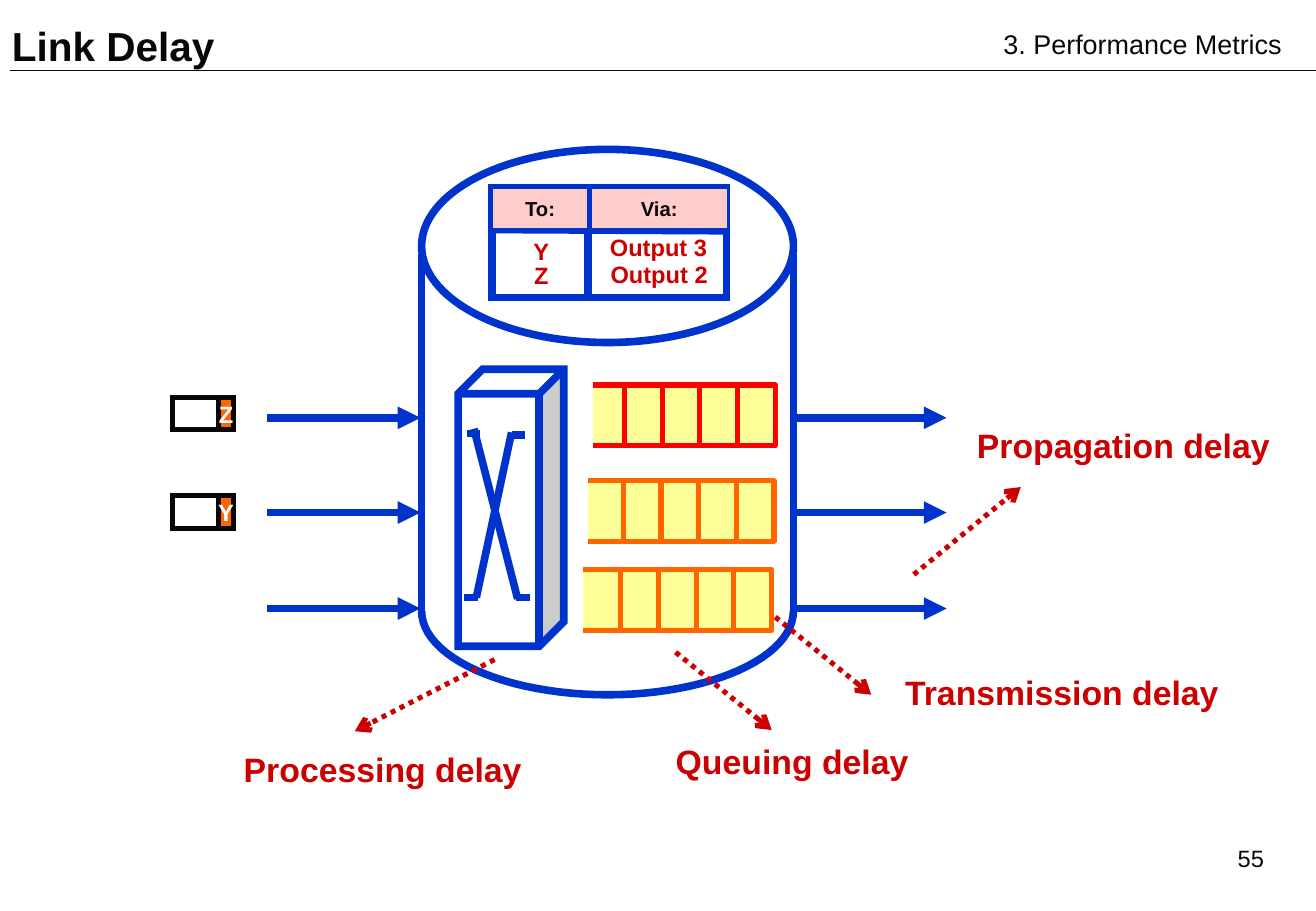
"""Build the Link Delay slide: a router with its queues and four kinds of delay."""
import math
from dataclasses import dataclass
from typing import Optional

from lxml import etree
from pptx import Presentation
from pptx.dml.color import RGBColor
from pptx.enum.dml import MSO_LINE
from pptx.enum.shapes import MSO_CONNECTOR, MSO_SHAPE
from pptx.enum.text import MSO_ANCHOR, PP_ALIGN
from pptx.oxml.ns import qn
from pptx.util import Inches, Pt

STRAIGHT = MSO_CONNECTOR.STRAIGHT
DOTTED = MSO_LINE.ROUND_DOT
RECTANGLE, ELLIPSE, CUBE = MSO_SHAPE.RECTANGLE, MSO_SHAPE.OVAL, MSO_SHAPE.CUBE
LEFT, CENTER, RIGHT = PP_ALIGN.LEFT, PP_ALIGN.CENTER, PP_ALIGN.RIGHT
TOP, MIDDLE = MSO_ANCHOR.TOP, MSO_ANCHOR.MIDDLE

COLORS = {
    "ink": "080808", "blue": "0033CC", "white": "FFFFFF", "pink": "FFCCCC",
    "yellow": "FFFF99", "red": "FF0000", "orange": "FF6600", "crimson": "CC0000",
}
FONT = "Arial"
CELL_STEP = 0.31
QUEUE_HEIGHT = 0.5


@dataclass
class Label:
    text: str
    left: float
    top: float
    width: float
    height: float
    size: float = 14
    color: str = "crimson"
    bold: bool = True
    align: PP_ALIGN = CENTER
    anchor: MSO_ANCHOR = TOP
    wrap: bool = True
    spacing: Optional[float] = None


@dataclass
class Box:
    kind: MSO_SHAPE
    left: float
    top: float
    width: float
    height: float
    fill: Optional[str] = "white"
    line: str = "blue"
    weight: float = 4.5


@dataclass
class Line:
    x1: float
    y1: float
    x2: float
    y2: float
    color: str = "blue"
    weight: float = 4.5
    arrow: Optional[str] = None
    dotted: bool = False


@dataclass
class Queue:
    left: float
    right: float
    top: float
    color: str


def rgb(name: str) -> RGBColor:
    return RGBColor.from_string(COLORS[name])


def write(shape, label: Label) -> None:
    frame = shape.text_frame
    frame.word_wrap = label.wrap
    frame.vertical_anchor = label.anchor
    paragraph = frame.paragraphs[0]
    paragraph.alignment = label.align
    if label.spacing:
        paragraph.line_spacing = label.spacing
    run = paragraph.add_run()
    run.text = label.text
    run.font.name = FONT
    run.font.size = Pt(label.size)
    run.font.bold = label.bold
    run.font.color.rgb = rgb(label.color)


def add_label(slide, label: Label) -> None:
    area = (Inches(v) for v in (label.left, label.top, label.width, label.height))
    write(slide.shapes.add_textbox(*area), label)


def style(shape, fill: Optional[str], line: str, weight: float) -> None:
    shape.shadow.inherit = False
    if fill:
        shape.fill.solid()
        shape.fill.fore_color.rgb = rgb(fill)
    else:
        shape.fill.background()
    shape.line.color.rgb = rgb(line)
    shape.line.width = Pt(weight)


def add_box(slide, box: Box):
    area = (Inches(v) for v in (box.left, box.top, box.width, box.height))
    shape = slide.shapes.add_shape(box.kind, *area)
    style(shape, box.fill, box.line, box.weight)
    outline = shape._element.spPr.find(qn("a:ln"))
    etree.SubElement(outline, qn("a:miter"), lim="800000")
    return shape


def add_line(slide, line: Line) -> None:
    ends = (Inches(v) for v in (line.x1, line.y1, line.x2, line.y2))
    connector = slide.shapes.add_connector(STRAIGHT, *ends)
    connector.line.color.rgb = rgb(line.color)
    connector.line.width = Pt(line.weight)
    if line.dotted:
        connector.line.dash_style = DOTTED
    properties = connector._element.spPr
    if line.arrow:
        outline = properties.find(qn("a:ln"))
        etree.SubElement(outline, qn("a:tailEnd"), type=line.arrow)
    etree.SubElement(properties, qn("a:effectLst"))


def add_outline(slide, points: list[tuple[float, float]], fill: Optional[str],
                line: str, weight: float) -> None:
    corners = [(Inches(x), Inches(y)) for x, y in points]
    builder = slide.shapes.build_freeform(*corners[0])
    builder.add_line_segments(corners[1:], close=False)
    style(builder.convert_to_shape(), fill, line, weight)


def add_cylinder(slide) -> None:
    left, width = 3.47, 3.06
    right, radius = left + width, width / 2
    add_box(slide, Box(ELLIPSE, left, 1.23, width, 1.59))
    for x in (left, right):
        add_line(slide, Line(x, 2.09, x, 5.05))
    angles = [math.pi * step / 48 for step in range(49)]
    base = [(left + radius - radius * math.cos(a), 5.03 + 0.69 * math.sin(a)) for a in angles]
    add_outline(slide, base, None, "blue", 4.5)


def add_queue(slide, queue: Queue) -> None:
    bottom = queue.top + QUEUE_HEIGHT
    points = [(queue.left, queue.top), (queue.right, queue.top),
              (queue.right, bottom), (queue.left, bottom)]
    add_outline(slide, points, "yellow", queue.color, 3)
    for cell in range(4, 0, -1):
        x = queue.right - cell * CELL_STEP
        add_line(slide, Line(x, queue.top, x, bottom, queue.color, 3))


def add_forwarding_table(slide) -> None:
    add_box(slide, Box(RECTANGLE, 4.05, 1.55, 1.93, 0.9))
    add_line(slide, Line(4.06, 1.89, 5.97, 1.9))
    add_line(slide, Line(4.84, 1.55, 4.84, 2.46))
    for text, left, width in (("To:", 4.07, 0.75), ("Via:", 4.88, 1.09)):
        header = add_box(slide, Box(RECTANGLE, left, 1.57, width, 0.3, "pink", "pink", 1.5))
        write(header, Label(text, left, 1.57, width, 0.3, 12, "ink"))
    for label in (Label("Y", 4.24, 1.9, 0.43, 0.34), Label("Z", 4.24, 2.1, 0.43, 0.34),
                  Label("Output 3", 4.87, 1.87, 1.1, 0.34),
                  Label("Output 2", 4.8, 2.09, 1.25, 0.34)):
        add_label(slide, label)


def add_packet(slide, destination: str, top: float) -> None:
    add_box(slide, Box(RECTANGLE, 1.42, top, 0.5, 0.27, None, "ink", 3))
    header = add_box(slide, Box(RECTANGLE, 1.8, top, 0.12, 0.27, "orange", "ink", 3))
    write(header, Label(destination, 1.8, top, 0.12, 0.27, color="white",
                        anchor=MIDDLE, wrap=False))


SWITCH_LINES = [
    Line(3.9, 3.53, 4.26, 4.93), Line(3.92, 4.92, 4.21, 3.56),
    Line(4.21, 3.58, 4.32, 3.58), Line(4.25, 4.92, 4.36, 4.92),
    Line(3.82, 4.92, 3.93, 4.92), Line(3.84, 3.57, 3.95, 3.57),
]
QUEUES = [Queue(4.88, 6.38, 3.17, "red"), Queue(4.84, 6.37, 3.96, "orange"),
          Queue(4.8, 6.35, 4.69, "orange")]
DELAY_ARROWS = [(7.52, 4.73, 8.4, 4.01), (4.07, 5.43, 2.92, 6.02),
                (5.56, 5.37, 6.35, 6.01), (6.38, 5.08, 7.17, 5.72)]
LABELS = [
    Label("Link Delay", 0, 0, 8.5, 0.75, 24, "ink", align=LEFT, anchor=MIDDLE),
    Label("3. Performance Metrics", 8.16, 0.18, 2.63, 0.37, 16, "ink", False, LEFT),
    Label("55", 8.41, 6.9, 2.09, 0.5, 14, "ink", False, RIGHT),
    Label("Processing delay", 1.79, 6.17, 2.72, 0.39, 20, spacing=0.85),
    Label("Queuing delay", 5.46, 6.1, 2.12, 0.39, 20, wrap=False, spacing=0.85),
    Label("Transmission delay", 7.34, 5.48, 2.8, 0.44, 20, wrap=False),
    Label("Propagation delay", 7.94, 3.45, 2.61, 0.44, 20, wrap=False),
]


def main() -> None:
    presentation = Presentation()
    presentation.slide_width, presentation.slide_height = Inches(10.83), Inches(7.5)
    slide = presentation.slides.add_slide(presentation.slide_layouts[6])
    add_line(slide, Line(0.08, 0.58, 10.83, 0.58, "ink", 1))
    for start in (2.2, 6.53):
        for y in (3.44, 4.22, 5.01):
            add_line(slide, Line(start, y, start + 1.26, y, arrow="triangle"))
    add_cylinder(slide)
    add_box(slide, Box(CUBE, 3.77, 3.04, 0.87, 2.28)).adjustments[0] = 0.232
    for queue in QUEUES:
        add_queue(slide, queue)
    add_forwarding_table(slide)
    for line in SWITCH_LINES:
        add_line(slide, line)
    for destination, top in (("Z", 3.27), ("Y", 4.08)):
        add_packet(slide, destination, top)
    for ends in DELAY_ARROWS:
        add_line(slide, Line(*ends, "crimson", 3, "arrow", True))
    for label in LABELS:
        add_label(slide, label)
    presentation.save("out.pptx")


if __name__ == "__main__":
    main()
